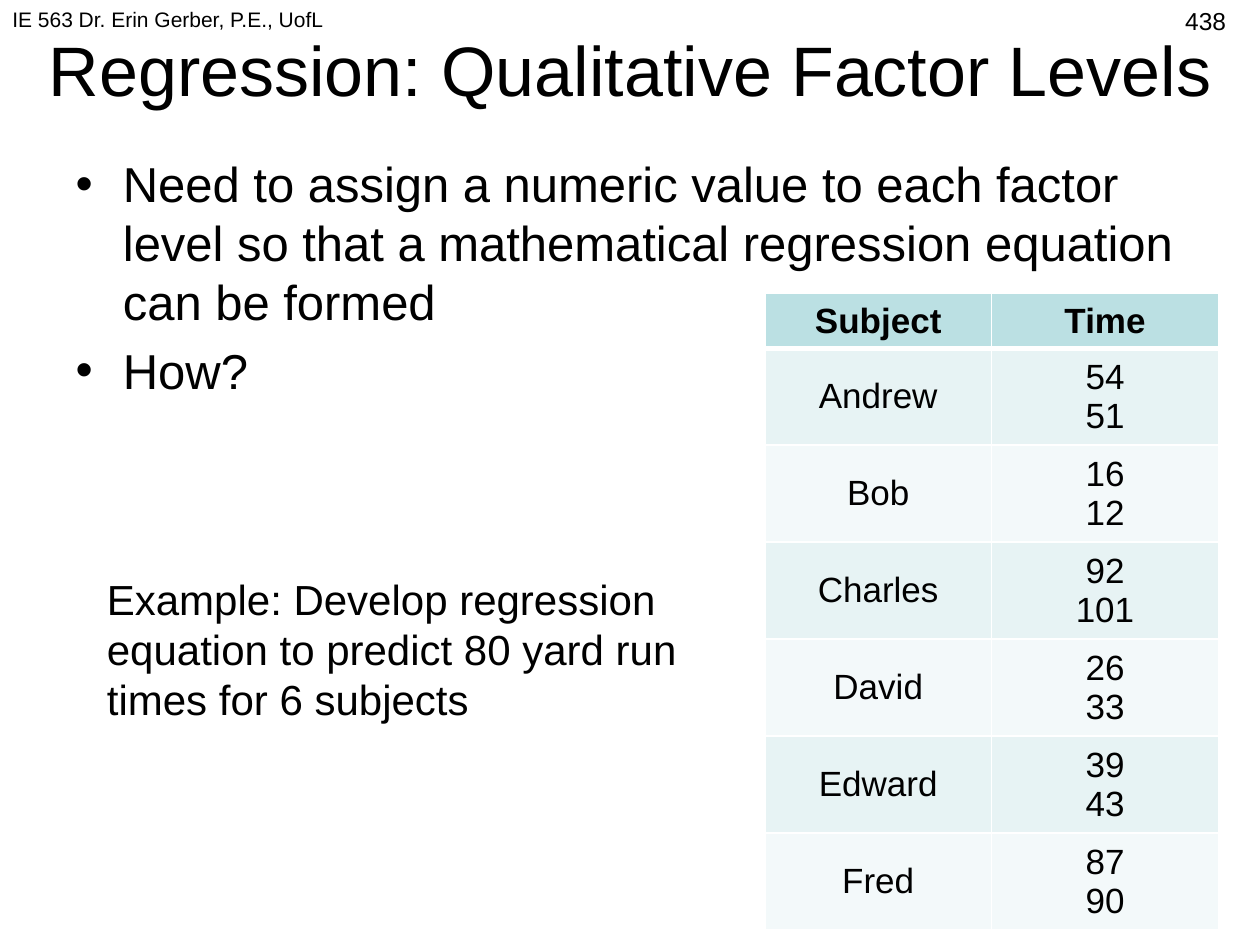
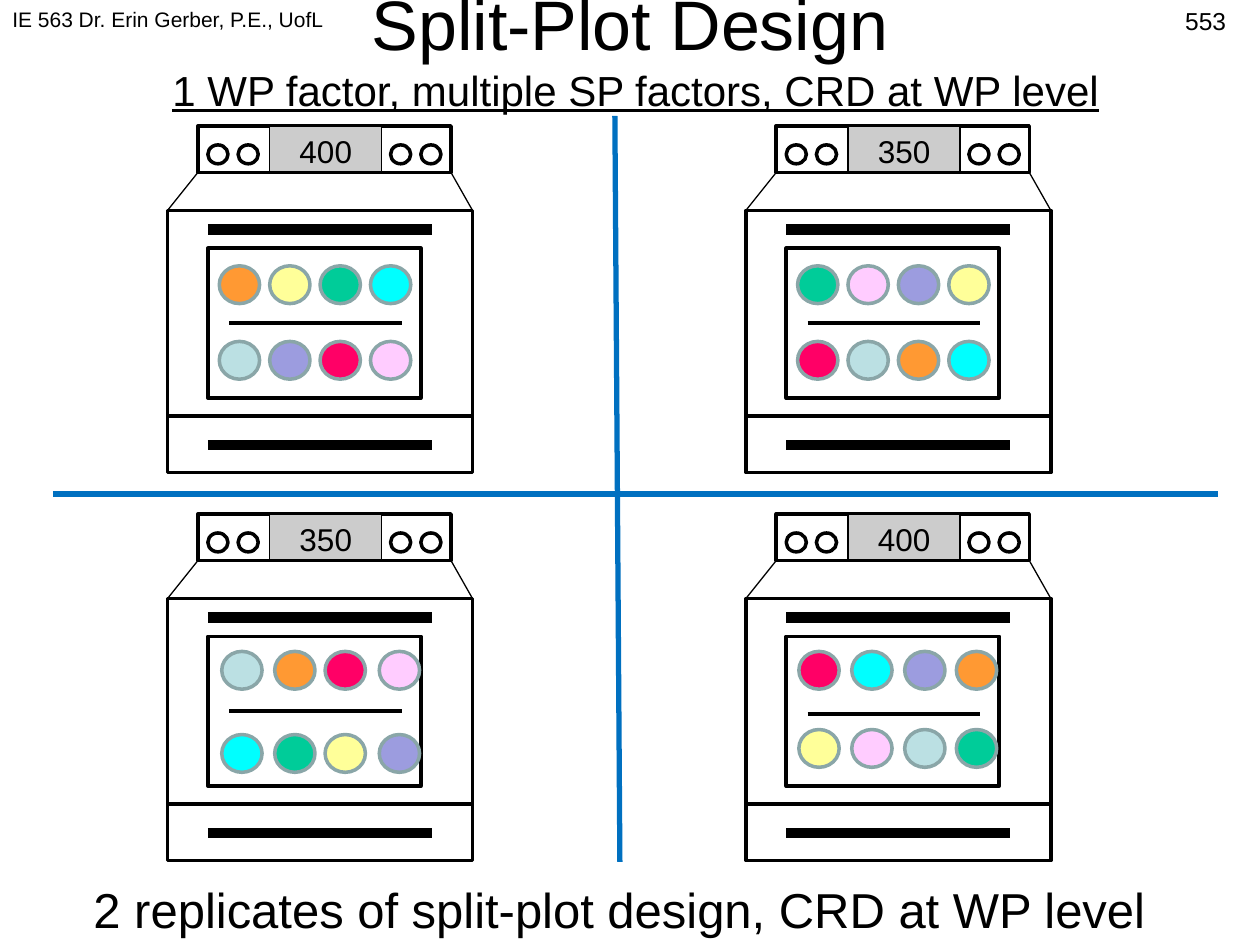
from dataclasses import dataclass

import pptx
import pptx.dml.color
import pptx.enum.shapes
import pptx.enum.text
import pptx.oxml
import pptx.oxml.ns
import pptx.util

RGB = pptx.dml.color.RGBColor
SHAPE = pptx.enum.shapes.MSO_SHAPE
ALIGN = pptx.enum.text.PP_ALIGN
ANCHOR = pptx.enum.text.MSO_ANCHOR

PX = 9144
FONT = "Arial"
BLACK = RGB(0x00, 0x00, 0x00)
WHITE = RGB(0xFF, 0xFF, 0xFF)
DISPLAY_GRAY = RGB(0xCC, 0xCC, 0xCC)
DIVIDER_BLUE = RGB(0x00, 0x70, 0xC0)
RIM = RGB(0x8A, 0xA6, 0xA8)
ROW_DARK = RGB(0xE7, 0xF3, 0xF4)
ROW_LIGHT = RGB(0xF3, 0xF9, 0xFA)
TEAL = RGB(0xBB, 0xE0, 0xE3)
GREEN = RGB(0x00, 0xCC, 0x99)
PINK = RGB(0xFF, 0xCC, 0xFF)
VIOLET = RGB(0x9C, 0x9C, 0xDF)
YELLOW = RGB(0xFF, 0xFF, 0x99)
RED = RGB(0xFF, 0x00, 0x66)
ORANGE = RGB(0xFF, 0x99, 0x33)
CYAN = RGB(0x00, 0xFF, 0xFF)

HEADER = "IE 563 Dr. Erin Gerber, P.E., UofL"
TIMES = [
    ("Andrew", "54\n51"),
    ("Bob", "16\n12"),
    ("Charles", "92\n101"),
    ("David", "26\n33"),
    ("Edward", "39\n43"),
    ("Fred", "87\n90"),
]


@dataclass(frozen=True)
class Box:
    x: int
    y: int
    w: int
    h: int

    def moved(self, dx: int, dy: int) -> "Box":
        return Box(self.x + dx, self.y + dy, self.w, self.h)

    def emu(self) -> list[int]:
        return [v * PX for v in (self.x, self.y, self.w, self.h)]


@dataclass(frozen=True)
class Oven:
    x: int
    y: int
    temperature: str
    rows: tuple[tuple[RGB, ...], ...]
    columns: tuple[int, ...] = (41, 81, 121, 161)
    row_tops: tuple[int, int] = (111, 171)
    upper_rack: int = 156


OVENS = [
    Oven(592, 100, "350", ((GREEN, PINK, VIOLET, YELLOW), (RED, TEAL, ORANGE, CYAN))),
    Oven(133, 100, "400", ((ORANGE, YELLOW, GREEN, CYAN), (TEAL, VIOLET, RED, PINK))),
    Oven(133, 408, "350", ((TEAL, ORANGE, RED, PINK), (CYAN, GREEN, YELLOW, VIOLET)),
         (43, 85, 125, 168), (109, 175)),
    Oven(592, 408, "400", ((RED, CYAN, VIOLET, ORANGE), (YELLOW, PINK, TEAL, GREEN)),
         (42, 84, 126, 167), (109, 171), 159),
]


def add_run(p, text: str, *, size: int, bold: bool = False, underline: bool = False) -> None:
    r = p.add_run()
    r.text = text
    r.font.name = FONT
    r.font.size = pptx.util.Pt(size)
    r.font.bold = bold
    r.font.underline = underline
    r.font.color.rgb = BLACK


def write(tf, text: str, *, size: int, align=ALIGN.LEFT, bold: bool = False,
          gap: float = 0) -> None:
    for i, line in enumerate(text.split("\n")):
        p = tf.paragraphs[0] if i == 0 else tf.add_paragraph()
        p.alignment = align
        p.space_before = pptx.util.Pt(gap if i else 0)
        add_run(p, line, size=size, bold=bold)


def place(shape, box: Box) -> None:
    shape.left, shape.top, shape.width, shape.height = box.emu()
    shape.text_frame.auto_size = pptx.enum.text.MSO_AUTO_SIZE.NONE


def add_text(s, box: Box, text: str, *, size: int, align=ALIGN.LEFT) -> None:
    tf = s.shapes.add_textbox(*box.emu()).text_frame
    tf.word_wrap = True
    write(tf, text, size=size, align=align)


def add_title(s, box: Box, text: str):
    place(s.shapes.title, box)
    tf = s.shapes.title.text_frame
    tf.vertical_anchor = ANCHOR.MIDDLE
    write(tf, text, size=40, align=ALIGN.CENTER)
    return tf.paragraphs[0]


def add_header(s, number: str) -> None:
    add_text(s, Box(0, 0, 417, 52), HEADER, size=12)
    add_text(s, Box(750, 0, 233, 52), number, size=14, align=ALIGN.RIGHT)


def add_solid(shapes, kind, box: Box, fill: RGB = WHITE, line: RGB = BLACK, width: float = 2):
    sp = shapes.add_shape(kind, *box.emu())
    sp.shadow.inherit = False
    sp.fill.solid()
    sp.fill.fore_color.rgb = fill
    sp.line.color.rgb = line
    sp.line.width = pptx.util.Pt(width)
    return sp


def add_line(shapes, x1: int, y1: int, x2: int, y2: int, width: float,
             color: RGB = BLACK) -> None:
    ends = [v * PX for v in (x1, y1, x2, y2)]
    line = shapes.add_connector(pptx.enum.shapes.MSO_CONNECTOR.STRAIGHT, *ends)
    line.line.color.rgb = color
    line.line.width = pptx.util.Pt(width)
    pptx.oxml.ns.qn("a:effectLst")
    line._element.spPr.append(
        pptx.oxml.parse_xml(f"<a:effectLst {pptx.oxml.ns.nsdecls('a')}/>"))


def set_borders(cell, top: int, bottom: int) -> None:
    tc_pr = cell._tc.get_or_add_tcPr()
    for i, (side, width) in enumerate((("L", 1), ("R", 1), ("T", top), ("B", bottom))):
        tc_pr.insert(i, pptx.oxml.parse_xml(
            f'<a:ln{side} {pptx.oxml.ns.nsdecls("a")} w="{width * 12700}">'
            f'<a:solidFill><a:srgbClr val="{WHITE}"/></a:solidFill></a:ln{side}>'))


def add_times_table(s) -> None:
    rows = [("Subject", "Time"), *TIMES]
    table = s.shapes.add_table(len(rows), 2, *Box(607, 233, 360, 503).emu()).table
    for column in table.columns:
        column.width = 180 * PX
    for i, row in enumerate(rows):
        table.rows[i].height = (77 if i else 43) * PX
        fill = TEAL if i == 0 else ROW_DARK if i % 2 else ROW_LIGHT
        for j, text in enumerate(row):
            cell = table.cell(i, j)
            cell.vertical_anchor = ANCHOR.MIDDLE
            cell.fill.solid()
            cell.fill.fore_color.rgb = fill
            set_borders(cell, 3 if i == 1 else 1, 3 if i == 0 else 1)
            write(cell.text_frame, text, size=20, align=ALIGN.CENTER, bold=i == 0)


def add_oven(s, oven: Oven) -> None:
    shapes = s.shapes.add_group_shape().shapes

    def solid(kind, x: int, y: int, w: int, h: int, *style):
        return add_solid(shapes, kind, Box(x, y, w, h).moved(oven.x, oven.y), *style)

    def line(x1: int, y1: int, x2: int, y2: int, width: float) -> None:
        add_line(shapes, oven.x + x1, oven.y + y1, oven.x + x2, oven.y + y2, width)

    solid(SHAPE.RECTANGLE, 0, 67, 242, 164)
    solid(SHAPE.RECTANGLE, 32, 97, 169, 119)
    solid(SHAPE.RECTANGLE, 0, 230, 242, 45)
    for y in (253, 82):
        line(32, y, 210, y, 6)
    solid(SHAPE.RECTANGLE, 24, 0, 201, 37)
    for x in (32, 56, 177, 201):
        solid(SHAPE.OVAL, x, 15, 16, 15)
    line(0, 67, 24, 37, 0.75)
    line(242, 67, 225, 37, 0.75)
    for y in (oven.upper_rack, 216):
        line(49, y, 186, y, 2.25)
    for y, colors in zip(oven.row_tops, oven.rows):
        for x, color in zip(oven.columns, colors):
            solid(SHAPE.OVAL, x, y, 32, 30, color, RIM)
    display = solid(SHAPE.RECTANGLE, 81, 0, 89, 36, DISPLAY_GRAY, BLACK, 0.75)
    display.text_frame.vertical_anchor = ANCHOR.TOP
    write(display.text_frame, oven.temperature, size=18, align=ALIGN.CENTER)


def build_regression(prs) -> None:
    s = prs.slides.add_slide(prs.slide_layouts[1])
    add_title(s, Box(25, -8, 950, 125), "Regression: Qualitative Factor Levels")
    body = s.placeholders[1]
    place(body, Box(50, 117, 900, 267))
    write(body.text_frame,
          "Need to assign a numeric value to each factor level so that a mathematical "
          "regression equation can be formed\nHow?", size=28, gap=5.6)
    add_text(s, Box(75, 450, 508, 177),
             "Example: Develop regression equation to predict 80 yard run times for 6 subjects",
             size=24)
    add_times_table(s)
    add_header(s, "438")


def build_split_plot(prs) -> None:
    s = prs.slides.add_slide(prs.slide_layouts[5])
    p = add_title(s, Box(50, -25, 900, 125), "Split-Plot Design")
    p.add_line_break()
    add_run(p, " ", size=24)
    add_run(p, "1 WP factor, multiple SP factors, CRD at WP level", size=24, underline=True)
    add_header(s, "553")
    add_line(s.shapes, 488, 92, 492, 684, 3, DIVIDER_BLUE)
    add_line(s.shapes, 42, 392, 967, 392, 3, DIVIDER_BLUE)
    for oven in OVENS:
        add_oven(s, oven)
    add_text(s, Box(33, 693, 917, 57), "2 replicates of split-plot design, CRD at WP level",
             size=28, align=ALIGN.CENTER)


def main() -> None:
    prs = pptx.Presentation()
    prs.slide_width, prs.slide_height = 1000 * PX, 750 * PX
    build_regression(prs)
    build_split_plot(prs)
    prs.save("out.pptx")


if __name__ == "__main__":
    main()
